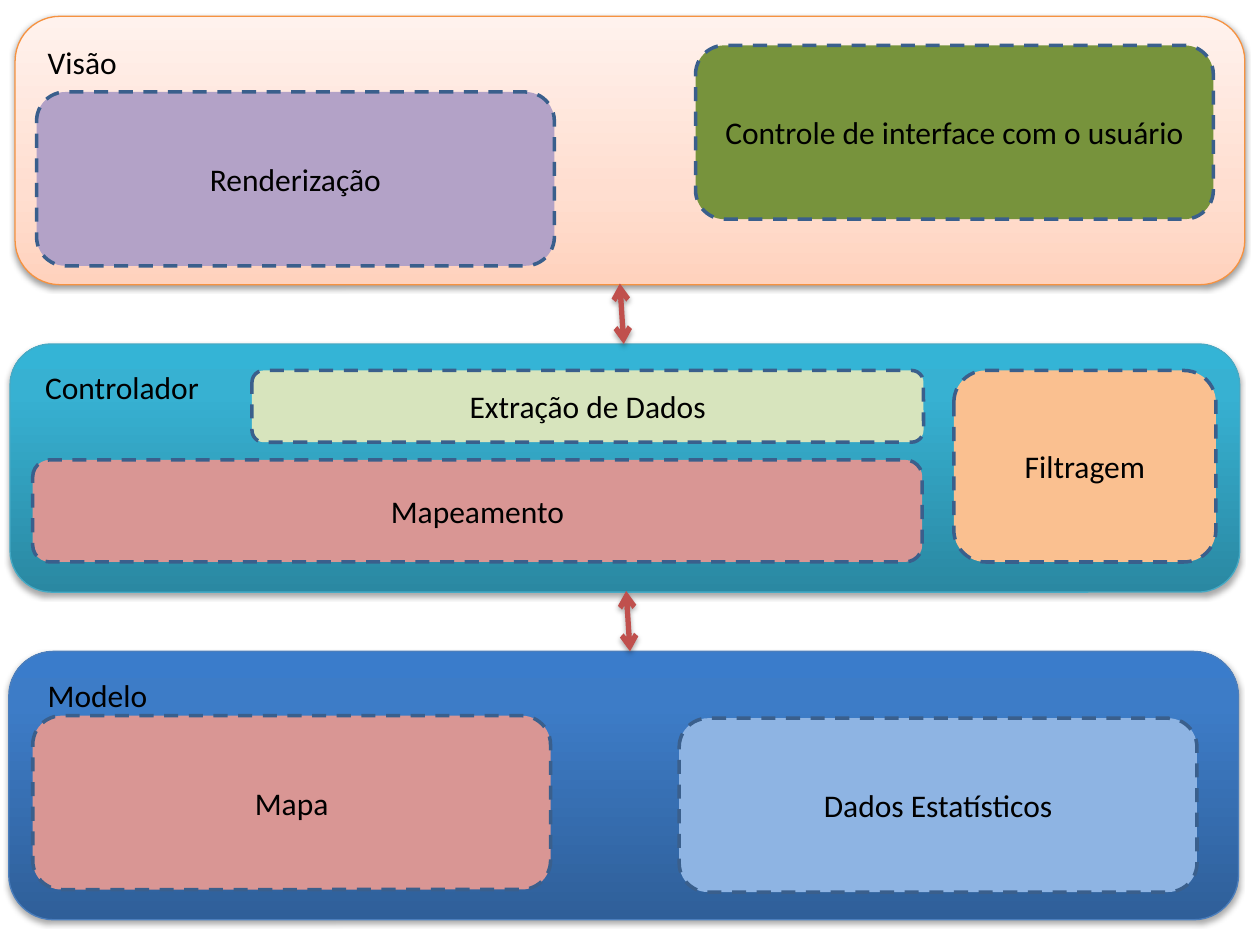
from copy import deepcopy

from lxml import etree
from pptx import Presentation
from pptx.dml.color import RGBColor
from pptx.enum.dml import MSO_LINE
from pptx.enum.shapes import MSO_CONNECTOR, MSO_SHAPE
from pptx.enum.text import MSO_ANCHOR, MSO_AUTO_SIZE, PP_ALIGN
from pptx.oxml.ns import qn
from pptx.util import Inches, Pt

ROUND = MSO_SHAPE.ROUNDED_RECTANGLE
STRAIGHT = MSO_CONNECTOR.STRAIGHT
DASH = MSO_LINE.DASH
MIDDLE = MSO_ANCHOR.MIDDLE
GROW = MSO_AUTO_SIZE.SHAPE_TO_FIT_TEXT
LEFT, CENTER = PP_ALIGN.LEFT, PP_ALIGN.CENTER

COLORS = {
    "text": "000000", "edge": "3A5F8C", "arrow": "C0504D", "rose": "D99694",
    "lime": "D7E4BD", "peach": "FAC090", "sky": "8EB4E3", "mauve": "B3A2C7",
    "olive": "77933C",
}
FONT = {"name": "Calibri", "size": Pt(18)}

# Each layer: box, gradient, edge, shadow, label, parts; places are relative to the box.
LAYERS = [
    {"box": (0.12, 0.13, 9.76, 2.13), "edge": "F69240",
     "stops": [(0, "FFD2BD"), (0.35, "FFDED0"), (1, "FFF2ED")],
     "shade": {"alpha": 38, "dist": 1.6},
     "label": ("Visão", 0.16, 0.16, 0.76),
     "parts": [("Renderização", "mauve", 0.17, 0.6, 4.11, 1.38),
               ("Controle de interface com o usuário", "olive", 5.4, 0.23, 4.11, 1.38)]},
    {"box": (0.08, 2.73, 9.76, 1.97), "edge": "46AAC5",
     "stops": [(0, "2A88A2"), (0.8, "37B1D2"), (1, "34B4D6")],
     "shade": {},
     "label": ("Controlador", 0.18, 0.14, 1.43),
     "parts": [("Extração de Dados", "lime", 1.92, 0.21, 5.33, 0.57),
               ("Filtragem", "peach", 7.49, 0.21, 2.08, 1.52),
               ("Mapeamento", "rose", 0.18, 0.92, 7.06, 0.81)]},
    {"box": (0.07, 5.17, 9.76, 2.13), "edge": "4B7EBC",
     "stops": [(0, "2F5F99"), (0.8, "3D7CC7"), (1, "3A7CCB")],
     "shade": {},
     "label": ("Modelo", 0.21, 0.15, 1),
     "parts": [("Mapa", "rose", 0.19, 0.51, 4.11, 1.38),
               ("Dados Estatísticos", "sky", 5.32, 0.53, 4.11, 1.38)]},
]
ARROWS = [(4.92, 2.25), (4.97, 4.69)]


def shade(props, alpha=35, dist=1.8):
    """Give shape properties a soft shadow that falls straight down."""
    for old in props.findall(qn("a:effectLst")):
        props.remove(old)
    effects = etree.SubElement(props, qn("a:effectLst"))
    outer = etree.SubElement(effects, qn("a:outerShdw"), {
        "blurRad": str(Pt(3.1)), "dist": str(Pt(dist)),
        "dir": "5400000", "rotWithShape": "0"})
    color = etree.SubElement(outer, qn("a:srgbClr"), val=COLORS["text"])
    etree.SubElement(color, qn("a:alpha"), val=str(alpha * 1000))


def stroke(line, color, width):
    """Set the colour and width of a line."""
    line.color.rgb = RGBColor.from_string(color)
    line.width = Pt(width)


def write(frame, text, align):
    """Write one paragraph in the common font."""
    para = frame.paragraphs[0]
    para.alignment = align
    run = para.add_run()
    run.text = text
    for key, value in FONT.items():
        setattr(run.font, key, value)
    run.font.color.rgb = RGBColor.from_string(COLORS["text"])


def add_box(slide, left, top, width, height):
    """Add a rounded box without a shadow."""
    box = slide.shapes.add_shape(
        ROUND, Inches(left), Inches(top), Inches(width), Inches(height))
    box.shadow.inherit = False
    return box


def add_part(slide, text, color, *place):
    """Add a dashed box with centred text."""
    box = add_box(slide, *place)
    box.fill.solid()
    box.fill.fore_color.rgb = RGBColor.from_string(COLORS[color])
    stroke(box.line, COLORS["edge"], 2)
    box.line.dash_style = DASH
    box.text_frame.word_wrap = True
    box.text_frame.vertical_anchor = MIDDLE
    write(box.text_frame, text, CENTER)


def add_label(slide, text, left, top, width):
    """Add the name of a layer."""
    label = slide.shapes.add_textbox(
        Inches(left), Inches(top), Inches(width), Inches(0.4))
    label.text_frame.word_wrap = False
    label.text_frame.auto_size = GROW
    write(label.text_frame, text, LEFT)


def add_layer(slide, layer):
    """Add a gradient panel, its label and its parts."""
    left, top = layer["box"][:2]
    panel = add_box(slide, *layer["box"])
    panel.fill.gradient()
    panel.fill.gradient_angle = 90
    props = panel.element.spPr
    stops = props.find(".//" + qn("a:gsLst"))
    stops.append(deepcopy(stops[-1]))
    for stop, (spot, color) in zip(panel.fill.gradient_stops, layer["stops"]):
        stop.position = spot
        stop.color.rgb = RGBColor.from_string(color)
    stroke(panel.line, layer["edge"], 0.75)
    shade(props, **layer["shade"])
    text, dx, dy, width = layer["label"]
    add_label(slide, text, left + dx, top + dy, width)
    for text, color, dx, dy, *size in layer["parts"]:
        add_part(slide, text, color, left + dx, top + dy, *size)


def add_arrow(slide, left, top):
    """Add a two-headed arrow across the gap between layers."""
    arrow = slide.shapes.add_connector(
        STRAIGHT, Inches(left), Inches(top), Inches(left + 0.03), Inches(top + 0.48))
    stroke(arrow.line, COLORS["arrow"], 3)
    props = arrow.element.spPr
    for end in ("a:headEnd", "a:tailEnd"):
        etree.SubElement(props.find(qn("a:ln")), qn(end), type="arrow")
    shade(props)


def main():
    """Build the slide and save it."""
    deck = Presentation()
    deck.slide_width, deck.slide_height = Inches(10), Inches(7.5)
    slide = deck.slides.add_slide(deck.slide_layouts[6])
    for layer in LAYERS:
        add_layer(slide, layer)
    for start in ARROWS:
        add_arrow(slide, *start)
    deck.save("out.pptx")


main()
